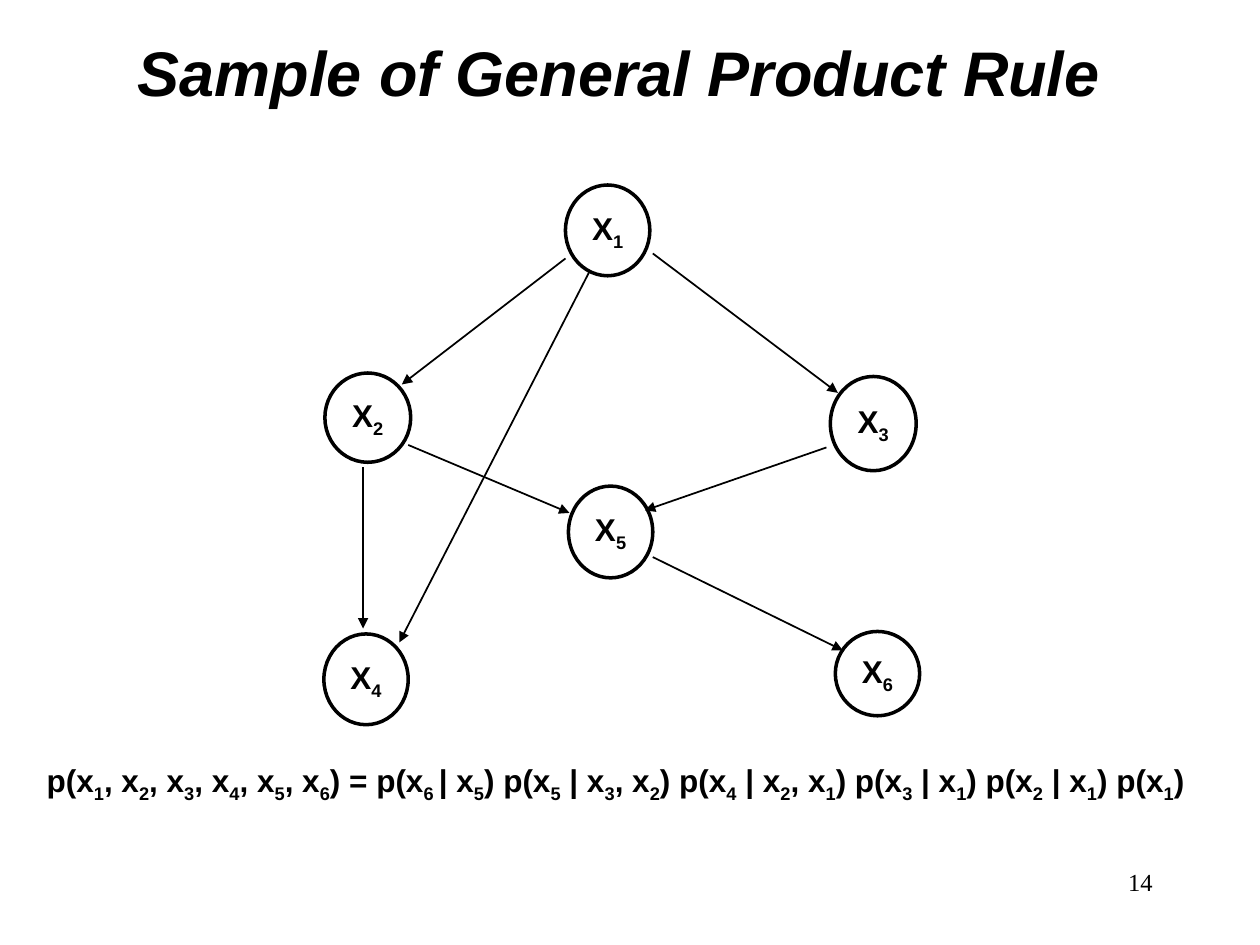
from lxml import etree
from pptx import Presentation
from pptx.dml.color import RGBColor
from pptx.enum.shapes import MSO_CONNECTOR, MSO_SHAPE
from pptx.enum.text import MSO_ANCHOR, MSO_AUTO_SIZE, PP_ALIGN
from pptx.oxml.ns import qn
from pptx.util import Cm, Pt

OVAL = MSO_SHAPE.OVAL
STRAIGHT = MSO_CONNECTOR.STRAIGHT
LEFT, CENTER, RIGHT = PP_ALIGN.LEFT, PP_ALIGN.CENTER, PP_ALIGN.RIGHT
TOP, MIDDLE = MSO_ANCHOR.TOP, MSO_ANCHOR.MIDDLE
NO_AUTOFIT = MSO_AUTO_SIZE.NONE

COLORS = {"ink": "000000"}
INK = RGBColor.from_string(COLORS["ink"])

TITLE_FONT = {"name": "Arial", "size": Pt(36), "bold": True, "italic": True}
MATH_FONT = {"name": "Arial", "size": Pt(18), "bold": True}
NUMBER_FONT = {"name": "Times New Roman", "size": Pt(14)}

# Node number: left, top, width, height in cm
NODES = {
    1: (11.4, 3.73, 1.7, 1.83),
    3: (16.74, 7.59, 1.73, 1.9),
    2: (6.55, 7.52, 1.73, 1.8),
    5: (11.46, 9.8, 1.7, 1.85),
    4: (6.53, 12.78, 1.7, 1.83),
    6: (16.84, 12.73, 1.7, 1.7),
}

# Parent and child node: start x, start y, end x, end y in cm
ARROWS = {
    (3, 5): (16.66, 9.02, 13, 10.29),
    (1, 2): (11.4, 5.21, 8.1, 7.75),
    (1, 3): (13.16, 5.11, 16.89, 7.92),
    (2, 5): (8.23, 8.97, 11.48, 10.34),
    (2, 4): (7.32, 9.42, 7.32, 12.67),
    (5, 6): (13.16, 11.23, 16.99, 13.11),
    (1, 4): (11.89, 5.46, 8.05, 12.95),
}

FORMULA = (
    "p(x~1~, x~2~, x~3~, x~4~, x~5~, x~6~) = p(x~6 ~| x~5~) p(x~5~ | x~3~, x~2~) "
    "p(x~4~ | x~2~, x~1~) p(x~3~ | x~1~) p(x~2~ | x~1~) p(x~1~)"
)


def write(box, text, font, align, anchor, wrap=True):
    """Fill the box with one paragraph; text between tildes is subscript."""
    frame = box.text_frame
    frame.auto_size = NO_AUTOFIT
    frame.word_wrap = wrap
    frame.vertical_anchor = anchor
    para = frame.paragraphs[0]
    para.alignment = align
    for index, part in enumerate(text.split("~")):
        span = para.add_run()
        span.text = part
        for key, value in font.items():
            setattr(span.font, key, value)
        span.font.color.rgb = INK
        if index % 2:
            span._r.get_or_add_rPr().set("baseline", "-25000")
    return para


deck = Presentation()
deck.slide_width, deck.slide_height = Cm(25.4), Cm(19.05)
page = deck.slides.add_slide(deck.slide_layouts[5])

number_box = page.shapes.add_textbox(Cm(18.21), Cm(17.35), Cm(5.28), Cm(1.27))
write(number_box, "14", NUMBER_FONT, RIGHT, TOP)

title = page.shapes.title
title.left, title.top, title.width, title.height = Cm(1.47), Cm(0.48), Cm(22.02), Cm(1.9)
write(title, "Sample of General Product Rule", TITLE_FONT, CENTER, MIDDLE)

for number, place in NODES.items():
    node = page.shapes.add_shape(OVAL, *map(Cm, place))
    node.shadow.inherit = False
    node.fill.background()
    node.line.color.rgb = INK
    node.line.width = Pt(2)
    write(node, f"X~{number}~", MATH_FONT, CENTER, MIDDLE, wrap=False)

for ends in ARROWS.values():
    arrow = page.shapes.add_connector(STRAIGHT, *map(Cm, ends))
    arrow.line.color.rgb = INK
    arrow.line.width = Pt(1)
    etree.SubElement(arrow.line._get_or_add_ln(), qn("a:tailEnd"), type="triangle")
    etree.SubElement(arrow._element.spPr, qn("a:effectLst"))

formula_box = page.shapes.add_textbox(Cm(0.69), Cm(15.21), Cm(24.26), Cm(1.12))
formula = write(formula_box, FORMULA, MATH_FONT, LEFT, TOP)
formula.space_before = Pt(11.2)

deck.save("out.pptx")
